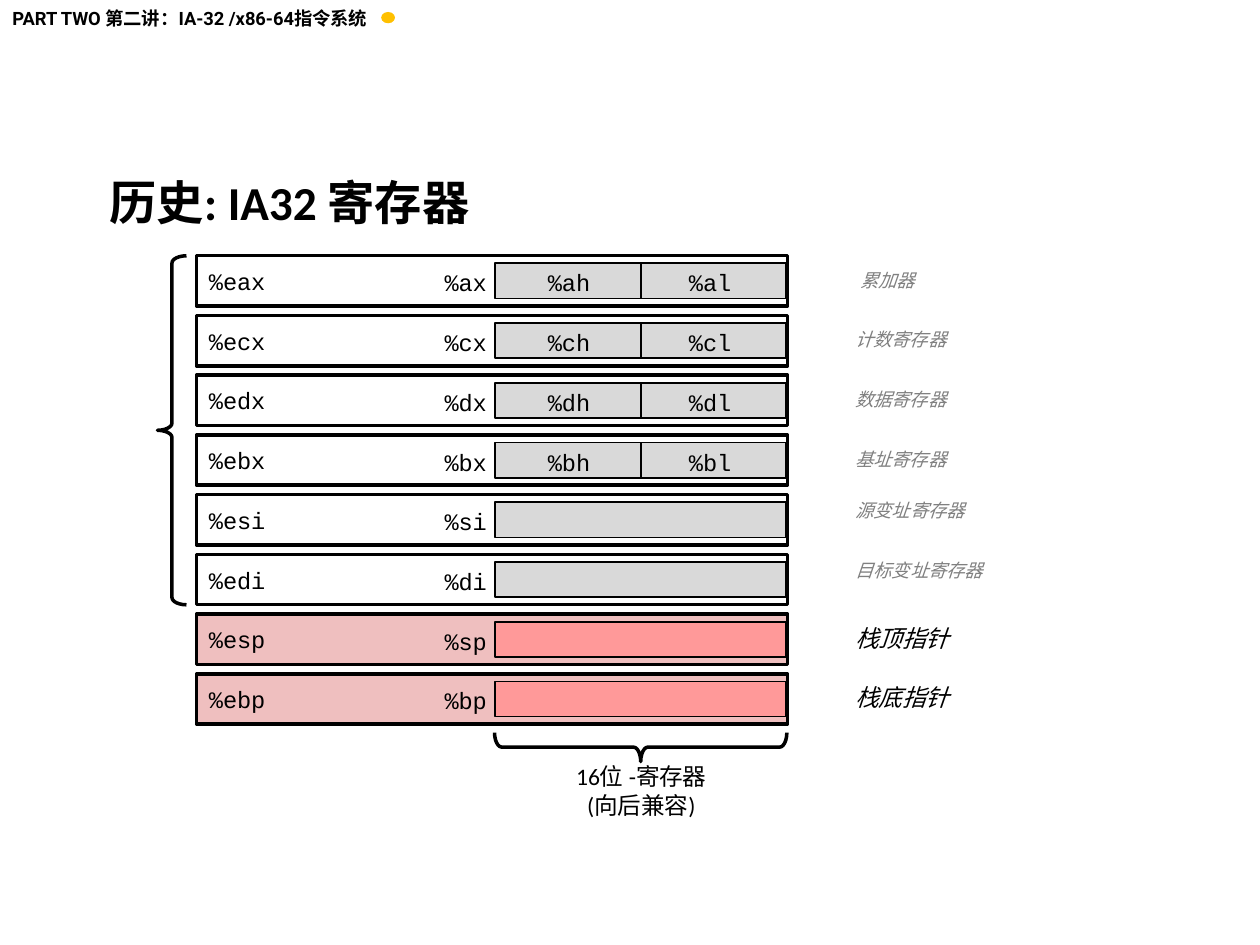
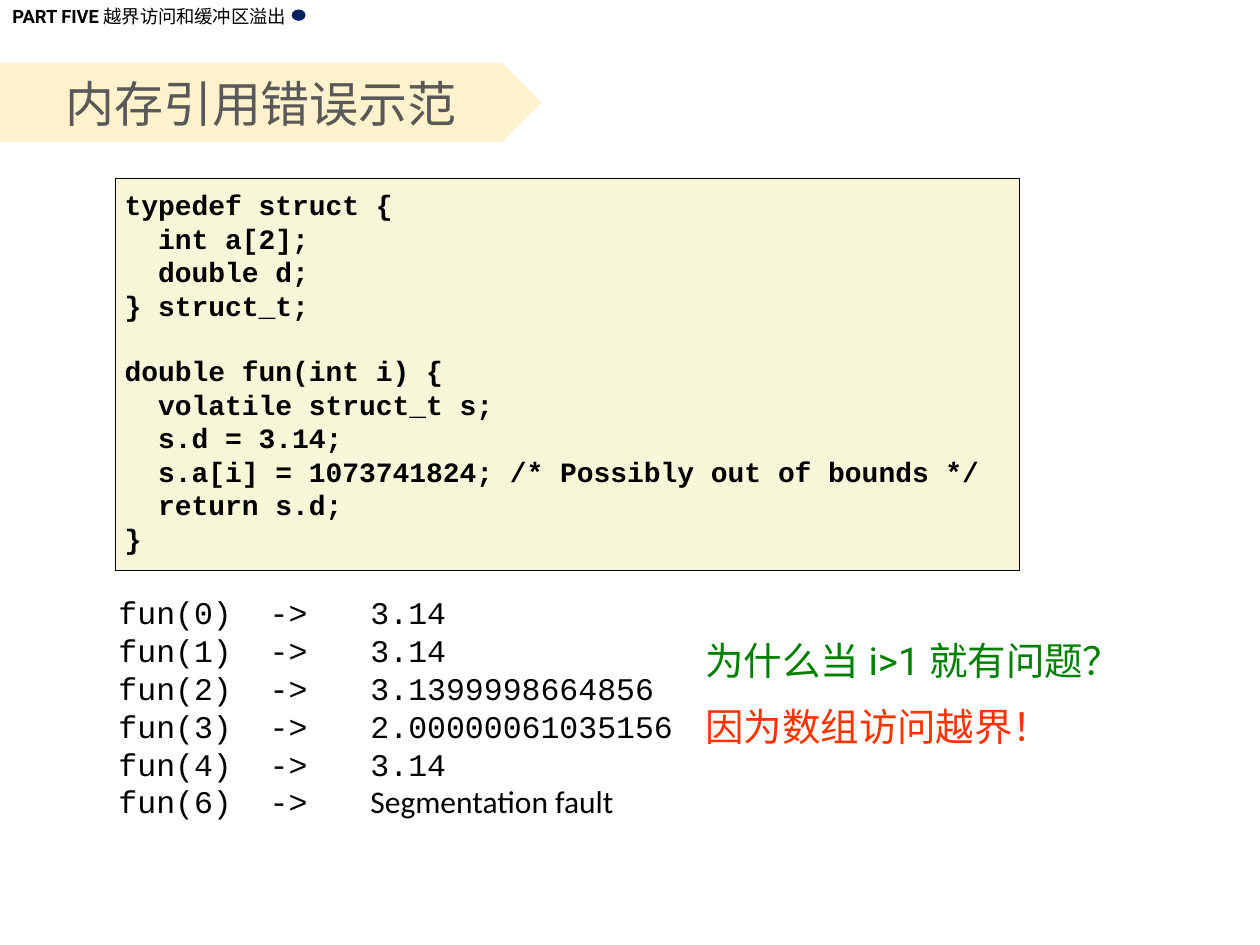
from lxml.etree import SubElement
from pptx import Presentation
from pptx.dml.color import RGBColor
from pptx.enum.shapes import MSO_CONNECTOR, MSO_SHAPE
from pptx.enum.text import MSO_ANCHOR, MSO_AUTO_SIZE, PP_ALIGN
from pptx.oxml.ns import qn
from pptx.util import Inches, Pt

COLS, ROWS = 100, 75
WIDE, HIGH = Inches(10), Inches(7.5)
INK = {
    "black": "000000", "white": "FFFFFF", "grey": "808080", "slate": "595959",
    "gold": "FFC000", "navy": "002060", "cream": "FFF2CC", "code": "F8F6D9",
    "part": "D9D9D9", "pink": "EFBFBF", "rose": "FF9999",
    "green": "008000", "red": "FF3300",
}
MONO, SANS, BODY, HAN = "Courier New", "Roboto", "Calibri", "Noto Sans CJK SC"
PITCH = 4.74
TOP = 20.3
REGS = [
    ("%eax", "%ax", "%ah", "%al", "累加器"),
    ("%ecx", "%cx", "%ch", "%cl", "计数寄存器"),
    ("%edx", "%dx", "%dh", "%dl", "数据寄存器"),
    ("%ebx", "%bx", "%bh", "%bl", "基址寄存器"),
    ("%esi", "%si", "", "", "源变址寄存器"),
    ("%edi", "%di", "", "", "目标变址寄存器"),
    ("%esp", "%sp", "", "", "栈顶指针"),
    ("%ebp", "%bp", "", "", "栈底指针"),
]
TYPE = ["typedef struct {", "  int a[2];", "  double d;", "} struct_t;"]
FUNC = [
    "double fun(int i) {",
    "  volatile struct_t s;",
    "  s.d = 3.14;",
    "  s.a[i] = 1073741824; /* Possibly out of bounds */",
    "  return s.d;",
    "}",
]
CALLS = [(0, "3.14"), (1, "3.14"), (2, "3.1399998664856"),
         (3, "2.00000061035156"), (4, "3.14"), (6, "Segmentation fault")]


def cell(x, y, w, h):
    across, down = WIDE / COLS, HIGH / ROWS
    return int(x * across), int(y * down), int(w * across), int(h * down)


def tint(name):
    return RGBColor.from_string(INK[name])


def run(text, size, font=MONO, ink="black", bold=False, slant=False):
    return text, size, font, ink, bold, slant


def write(frame, paras, align=PP_ALIGN.LEFT, gaps=None):
    for i, runs in enumerate(paras):
        para = frame.paragraphs[0] if i == 0 else frame.add_paragraph()
        para.alignment = align
        if gaps and i in gaps:
            para.space_before = Pt(gaps[i])
        for text, size, font, ink, bold, slant in runs:
            part = para.add_run()
            part.text = text
            face = part.font
            face.size, face.name = Pt(size), font
            face.bold, face.italic = bold, slant
            face.color.rgb = tint(ink)
            SubElement(face._element, qn("a:ea")).set("typeface", font)


def inset(frame, side, end):
    frame.margin_left = frame.margin_right = Inches(side)
    frame.margin_top = frame.margin_bottom = Inches(end)


def label(slide, box, paras, wrap=False, **style):
    frame = slide.shapes.add_textbox(*cell(*box)).text_frame
    frame.word_wrap = wrap
    frame.auto_size = MSO_AUTO_SIZE.SHAPE_TO_FIT_TEXT
    write(frame, paras, **style)
    return frame


def block(slide, kind, box, fill=None, line=0):
    shape = slide.shapes.add_shape(kind, *cell(*box))
    shape.shadow.inherit = False
    if fill:
        shape.fill.solid()
        shape.fill.fore_color.rgb = tint(fill)
    else:
        shape.fill.background()
    if line:
        shape.line.color.rgb = tint("black")
        shape.line.width = Pt(line)
    else:
        shape.line.fill.background()
    shape.text_frame.word_wrap = True
    return shape


def split(slide, bar):
    mid = bar.left + bar.width // 2
    rule = slide.shapes.add_connector(
        MSO_CONNECTOR.STRAIGHT, mid, bar.top, mid, bar.top + bar.height)
    rule.begin_connect(bar, 0)
    rule.end_connect(bar, 2)
    rule.line.color.rgb = tint("black")
    rule.line.width = Pt(1)
    SubElement(rule._element.spPr, qn("a:effectLst"))


def brace(slide, box, turn):
    shape = block(slide, MSO_SHAPE.RIGHT_BRACE, box, line=2)
    shape.rotation = turn
    shape.adjustments[0], shape.adjustments[1] = 0.25, 0.5


def header(slide, top, wide, runs, dot):
    label(slide, (0, top, wide, 2.8), [runs])
    block(slide, MSO_SHAPE.OVAL, (wide - 0.95, top + 0.85, 1.1, 0.9), dot)


def row(slide, i, names):
    full, half, high, low, role = names
    y = TOP + i * PITCH
    stack = i >= 6
    reg = block(slide, MSO_SHAPE.RECTANGLE, (15.6, y, 46.9, 4),
                "pink" if stack else "white", 2)
    reg.text_frame.vertical_anchor = MSO_ANCHOR.MIDDLE
    write(reg.text_frame, [[run(full, 13.5)]])
    bar = block(slide, MSO_SHAPE.RECTANGLE, (39.3, y + 0.6, 23.1, 2.8),
                "rose" if stack else "part", 1)
    if high:
        split(slide, bar)
    for x, name in ((34.3, half), (42.5, high), (53.7, low)):
        if name:
            label(slide, (x, y + 0.5, 5.4, 3.3), [[run(name, 13.5)]])
    size, ink = (13.5, "black") if stack else (10.5, "grey")
    drop = 0.25 if stack else 0.55 if high else -0.15
    wide = len(role) * size / 7.2 + 2
    label(slide, (67.3 if i == 0 else 66.9, y + drop, wide, 3.3 if stack else 2.8),
          [[run(role, size, ink=ink, slant=True)]])


def history(slide):
    header(slide, 0.1, 31.2,
           [run("PART TWO 第二讲：IA-32 /x86-64指令系统", 10.5, SANS, bold=True)],
           "gold")
    title = label(slide, (8, 12.9, 62.3, 6.2),
                  [[run("历史: IA32 寄存器", 27, BODY, bold=True)]], wrap=True)
    title.auto_size = MSO_AUTO_SIZE.NONE
    title.vertical_anchor = MSO_ANCHOR.MIDDLE
    inset(title, 0.07, 0.04)
    for i, names in enumerate(REGS):
        row(slide, i, names)
    brace(slide, (49.7, 47.7, 2.3, 23.2), 90)
    brace(slide, (12.5, TOP, 2.3, 5 * PITCH + 4), 180)
    label(slide, (44.7, 60, 12.4, 5.5),
          [[run(text, 13.5, BODY)] for text in ("16位 -寄存器", "(向后兼容)")],
          wrap=True, align=PP_ALIGN.CENTER)


def faults(slide):
    header(slide, -0.1, 24.1,
           [run("PART FIVE ", 10.5, SANS, bold=True),
            run("越界访问和缓冲区溢出", 10.5, HAN)], "navy")
    band = block(slide, MSO_SHAPE.PENTAGON, (0, 5, 43, 6.3), "cream")
    band.text_frame.vertical_anchor = MSO_ANCHOR.MIDDLE
    write(band.text_frame, [[run("内存引用错误示范", 28, SANS, "slate")]],
          PP_ALIGN.CENTER)

    code = block(slide, MSO_SHAPE.RECTANGLE, (9.2, 14.2, 71.7, 31.1), "code", 0.5)
    code.text_frame.vertical_anchor = MSO_ANCHOR.TOP
    inset(code.text_frame, 0.07, 0.07)
    write(code.text_frame, [[run(text, 16, bold=True)] for text in TYPE + FUNC],
          gaps={len(TYPE): 18})

    calls = block(slide, MSO_SHAPE.RECTANGLE, (9, 46.7, 80.1, 20), "white")
    calls.text_frame.vertical_anchor = MSO_ANCHOR.TOP
    inset(calls.text_frame, 0.04, 0.04)
    write(calls.text_frame,
          [[run(f"fun({n})  ->\t", 18),
            run(value, 18, MONO if value[0].isdigit() else BODY)]
           for n, value in CALLS])

    label(slide, (55, 50.1, 36, 10.2),
          [[run("为什么当 i>1 就有问题？", 22, SANS, "green")],
           [run("因为数组访问越界！", 22, SANS, "red")]],
          wrap=True, gaps={1: 11})


def main():
    deck = Presentation()
    deck.slide_width, deck.slide_height = WIDE, HIGH
    for draw in (history, faults):
        draw(deck.slides.add_slide(deck.slide_layouts[6]))
    deck.save("out.pptx")


if __name__ == "__main__":
    main()
